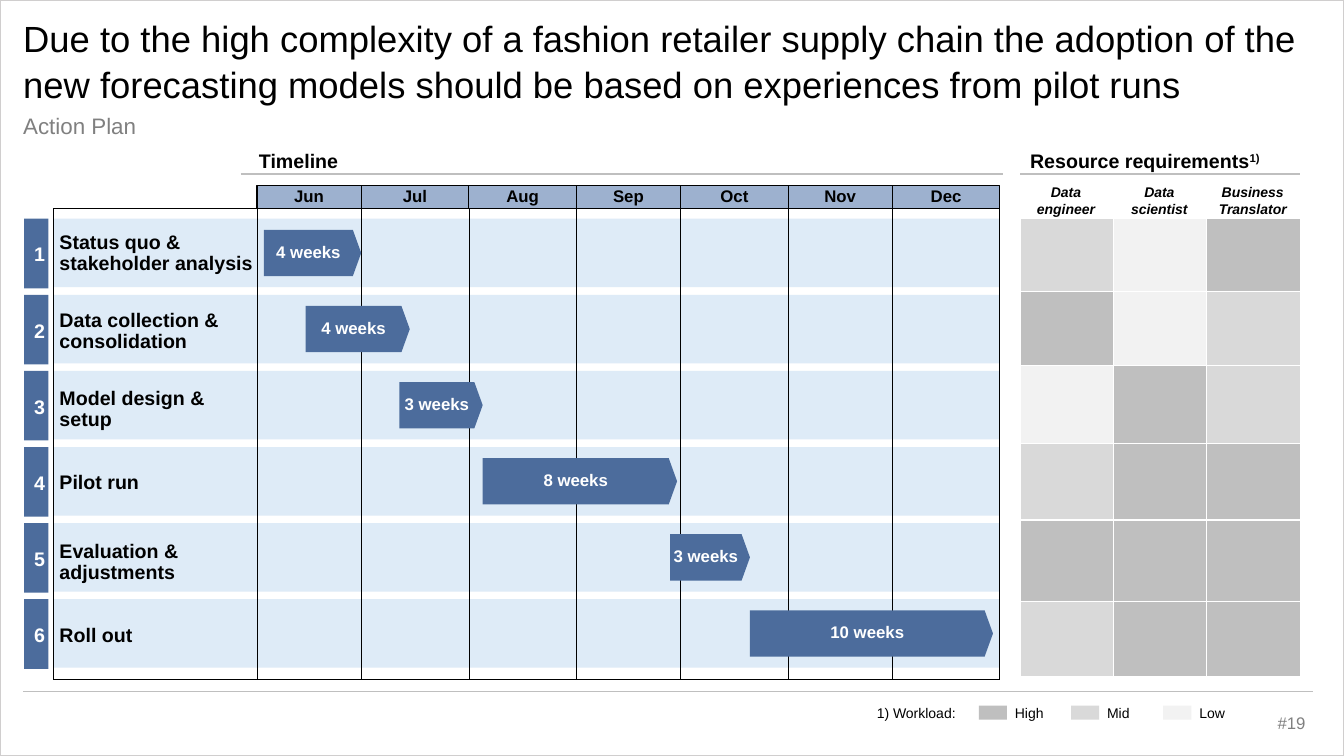
from itertools import accumulate
from typing import NamedTuple

from lxml.etree import SubElement
from pptx import Presentation
from pptx.dml.color import RGBColor
from pptx.enum.shapes import MSO_CONNECTOR, MSO_SHAPE
from pptx.enum.text import MSO_ANCHOR as Anchor, MSO_AUTO_SIZE, PP_ALIGN as Align
from pptx.oxml.ns import qn
from pptx.util import Emu, Inches, Pt

GRID_COLS, GRID_ROWS = 160, 90
BLACK, WHITE, GREY, RULE = "000000", "FFFFFF", "808080", "BFBFBF"
STEEL, MONTH_BLUE, BAND_BLUE = "4C6C9C", "9DB1CF", "DEEBF7"
WORKLOAD = {"High": "BFBFBF", "Mid": "D9D9D9", "Low": "F2F2F2"}

LEFT, FULL_WIDTH = 2.76, 153.5
PLAN_LEFT, CALENDAR_LEFT, PLAN_RIGHT = 6.36, 30.6, 119.04
MONTH_TOP, MONTH_HEIGHT, PLAN_BOTTOM = 22.08, 2.76, 80.88
PLAN_TOP = MONTH_TOP + MONTH_HEIGHT
STAGE_TOP, STAGE_PITCH, BAND_HEIGHT = 26.04, 9.06, 8.16
RESOURCE_LEFT, RESOURCE_WIDTH = 121.44, 33.36
HEADING_TOP, HEADING_HEIGHT, HEADING_RULE = 17.04, 4.08, 20.76
LEGEND_LEFT, LEGEND_PITCH = 116.52, 10.98


class Area(NamedTuple):
    col: float
    row: float
    cols: float
    rows: float


class Style(NamedTuple):
    size: float
    color: str = BLACK
    bold: bool = False
    italic: bool = False
    align: Align = Align.LEFT
    anchor: Anchor = Anchor.TOP
    spacing: float = 1.05
    insets: tuple[float, float, float, float] = (0.1, 0.05, 0.1, 0.05)


class Stage(NamedTuple):
    label: str
    label_drop: float
    start_day: int
    days: int
    duration: str
    workloads: tuple[str, str, str]
    resource_rows: float


class Month(NamedTuple):
    name: str
    days: int


STAGES = [
    Stage("Status quo &\nstakeholder analysis", 0.12, 2, 28, "4 weeks", ("Mid", "Low", "High"), 8.64),
    Stage("Data collection &\nconsolidation", 0.3, 14, 30, "4 weeks", ("High", "Low", "Mid"), 8.88),
    Stage("Model design &\nsetup", 0.48, 41, 24, "3 weeks", ("Low", "High", "Mid"), 9.24),
    Stage("Pilot run", 0.24, 65, 56, "8 weeks", ("Mid", "High", "High"), 9.12),
    Stage("Evaluation &\nadjustments", 0.6, 119, 23, "3 weeks", ("High", "High", "High"), 9.72),
    Stage("Roll out", 0.3, 142, 70, "10 weeks", ("Mid", "High", "High"), 8.88),
]
MONTHS = [Month("Jun", 30), Month("Jul", 31), Month("Aug", 31), Month("Sep", 30),
          Month("Oct", 31), Month("Nov", 30), Month("Dec", 31)]
ROLES = ["Data engineer", "Data scientist", "Business Translator"]
DAY = (PLAN_RIGHT - CALENDAR_LEFT) / sum(month.days for month in MONTHS)

FLUSH = (0, 0.05, 0, 0.05)
TITLE = Style(26, insets=FLUSH)
SUBTITLE = Style(16, GREY, insets=FLUSH)
HEADING = Style(14, bold=True)
ROLE = Style(10, bold=True, italic=True, align=Align.CENTER)
LEGEND = Style(10)
PAGE = Style(12, GREY, align=Align.RIGHT, anchor=Anchor.MIDDLE)
NUMBER = Style(14, WHITE, True, align=Align.CENTER, anchor=Anchor.MIDDLE)
MONTH = Style(12, BLACK, True, False, Align.CENTER, Anchor.MIDDLE, 0.9, (0, 0.03, 0, 0.03))
BAR = Style(12, WHITE, True, False, Align.CENTER, Anchor.MIDDLE, 0.9, (0, 0.05, 0.04, 0.05))
LABEL = Style(14, bold=True, anchor=Anchor.MIDDLE, spacing=0.9, insets=(0, 0, 0, 0))

deck = Presentation()
deck.slide_width, deck.slide_height = Inches(13.33), Inches(7.5)
slide = deck.slides.add_slide(deck.slide_layouts[5])
shapes = slide.shapes


def rgb(color: str) -> RGBColor:
    return RGBColor.from_string(color)


def across(cols: float) -> Emu:
    return Emu(round(cols * deck.slide_width / GRID_COLS))


def down(rows: float) -> Emu:
    return Emu(round(rows * deck.slide_height / GRID_ROWS))


def place(area: Area) -> tuple[Emu, Emu, Emu, Emu]:
    return across(area.col), down(area.row), across(area.cols), down(area.rows)


def write(frame, text: str, style: Style) -> None:
    frame.text = text
    frame.word_wrap = True
    frame.auto_size = MSO_AUTO_SIZE.NONE
    frame.vertical_anchor = style.anchor
    (frame.margin_left, frame.margin_top,
     frame.margin_right, frame.margin_bottom) = map(Inches, style.insets)
    for paragraph in frame.paragraphs:
        paragraph.alignment = style.align
        paragraph.line_spacing = style.spacing
        font = paragraph.font
        font.name, font.size = "Arial", Pt(style.size)
        font.bold, font.italic = style.bold, style.italic
        font.color.rgb = rgb(style.color)


def add_text(area: Area, text: str, style: Style):
    frame = shapes.add_textbox(*place(area)).text_frame
    write(frame, text, style)
    return frame


def add_block(area: Area, fill: str | None, outline: str | None = None,
              weight: float = 0.75, kind: MSO_SHAPE = MSO_SHAPE.RECTANGLE):
    block = shapes.add_shape(kind, *place(area))
    block.shadow.inherit = False
    if fill:
        block.fill.solid()
        block.fill.fore_color.rgb = rgb(fill)
    else:
        block.fill.background()
    if outline:
        block.line.color.rgb = rgb(outline)
        block.line.width = Pt(weight)
    else:
        block.line.fill.background()
    return block


def add_rule(col: float, row: float, end_col: float, end_row: float,
             color: str = BLACK, weight: float = 0.75) -> None:
    rule = shapes.add_connector(MSO_CONNECTOR.STRAIGHT, across(col), down(row),
                                across(end_col), down(end_row))
    rule.line.color.rgb = rgb(color)
    rule.line.width = Pt(weight)
    SubElement(rule._element.spPr, qn("a:effectLst"))


def fill_cell(cell, color: str) -> None:
    properties = cell._tc.get_or_add_tcPr()
    for side in ("a:lnL", "a:lnR", "a:lnT", "a:lnB"):
        border = SubElement(properties, qn(side), w=str(Pt(1)))
        SubElement(SubElement(border, qn("a:solidFill")), qn("a:srgbClr"), val=WHITE)
    cell.fill.solid()
    cell.fill.fore_color.rgb = rgb(color)


def add_heading(area: Area, text: str, rule_start: float, rule_end: float):
    add_rule(rule_start, HEADING_RULE, rule_end, HEADING_RULE, RULE, 1.5)
    return add_text(area, text, HEADING)


def draw_page() -> None:
    add_block(Area(0, 0, GRID_COLS, GRID_ROWS), None, "D0CECE", 1)
    title = shapes.title
    title.left, title.top, title.width, title.height = place(Area(LEFT, 1.08, FULL_WIDTH, 11.76))
    write(title.text_frame, "Due to the high complexity of a fashion retailer supply chain the adoption of "
          "the new forecasting models should be based on experiences from pilot runs", TITLE)
    add_text(Area(LEFT, 12.6, FULL_WIDTH, 4.44), "Action Plan", SUBTITLE)
    add_rule(LEFT, 82.32, LEFT + FULL_WIDTH, 82.32, RULE, 0.5)
    add_text(Area(148.44, 84.36, 8.16, 3.36), "#19", PAGE)


def draw_timeline() -> None:
    add_heading(Area(29.64, HEADING_TOP, 70.56, HEADING_HEIGHT), "Timeline", 28.68, 119.4)
    stage_tops = [STAGE_TOP + STAGE_PITCH * index for index in range(len(STAGES))]
    for top in stage_tops:
        add_block(Area(PLAN_LEFT, top, PLAN_RIGHT - PLAN_LEFT, BAND_HEIGHT), BAND_BLUE)

    month_ends = accumulate(month.days for month in MONTHS)
    for month, end_day in zip(MONTHS, month_ends):
        start = CALENDAR_LEFT + DAY * (end_day - month.days)
        header = add_block(Area(start, MONTH_TOP, DAY * month.days, MONTH_HEIGHT), MONTH_BLUE, BLACK)
        write(header.text_frame, month.name, MONTH)
        add_rule(start, PLAN_TOP, start, PLAN_BOTTOM, weight=0.75 if month is MONTHS[0] else 0.25)
    for edge in (PLAN_LEFT, PLAN_RIGHT):
        add_rule(edge, PLAN_TOP, edge, PLAN_BOTTOM)
    for edge in (PLAN_TOP, PLAN_BOTTOM):
        add_rule(PLAN_LEFT, edge, PLAN_RIGHT, edge)

    for number, (stage, top) in enumerate(zip(STAGES, stage_tops), 1):
        badge = add_block(Area(2.88, top, 2.88, 8.28), STEEL)
        write(badge.text_frame, str(number), NUMBER)
        add_text(Area(7.08, top + stage.label_drop, 23.5, BAND_HEIGHT), stage.label, LABEL)
        bar = add_block(Area(CALENDAR_LEFT + DAY * stage.start_day, top + 1.32, DAY * stage.days, 5.52),
                        STEEL, kind=MSO_SHAPE.PENTAGON)
        bar.adjustments[0] = 0.18
        write(bar.text_frame, stage.duration, BAR)


def draw_resources() -> None:
    heading = add_heading(Area(RESOURCE_LEFT, HEADING_TOP, RESOURCE_WIDTH, HEADING_HEIGHT),
                          "Resource requirements", RESOURCE_LEFT, RESOURCE_LEFT + RESOURCE_WIDTH)
    footnote_mark = heading.paragraphs[0].add_run()
    footnote_mark.text = "1)"
    footnote_mark._r.get_or_add_rPr().set("baseline", "30000")

    role_width = RESOURCE_WIDTH / len(ROLES)
    for index, role in enumerate(ROLES):
        add_text(Area(RESOURCE_LEFT + 0.12 + role_width * index, 21.12, 10.68, 5.28), role, ROLE)
    matrix_area = Area(RESOURCE_LEFT, STAGE_TOP, RESOURCE_WIDTH, sum(stage.resource_rows for stage in STAGES))
    matrix = shapes.add_table(len(STAGES), len(ROLES), *place(matrix_area)).table
    matrix.first_row = matrix.horz_banding = False
    for row, stage in zip(matrix.rows, STAGES):
        row.height = down(stage.resource_rows)
        for cell, level in zip(row.cells, stage.workloads):
            fill_cell(cell, WORKLOAD[level])


def draw_legend() -> None:
    add_text(Area(103.2, 83.16, 12.36, 3.24), "1) Workload:", LEGEND)
    for index, (level, color) in enumerate(WORKLOAD.items()):
        left = LEGEND_LEFT + LEGEND_PITCH * index
        add_block(Area(left, 84, 3.36, 1.68), color)
        add_text(Area(left + 3.12, 83.16, 6.48, 3.24), level, LEGEND)


def main() -> None:
    draw_page()
    draw_timeline()
    draw_resources()
    draw_legend()
    deck.save("out.pptx")


if __name__ == "__main__":
    main()
